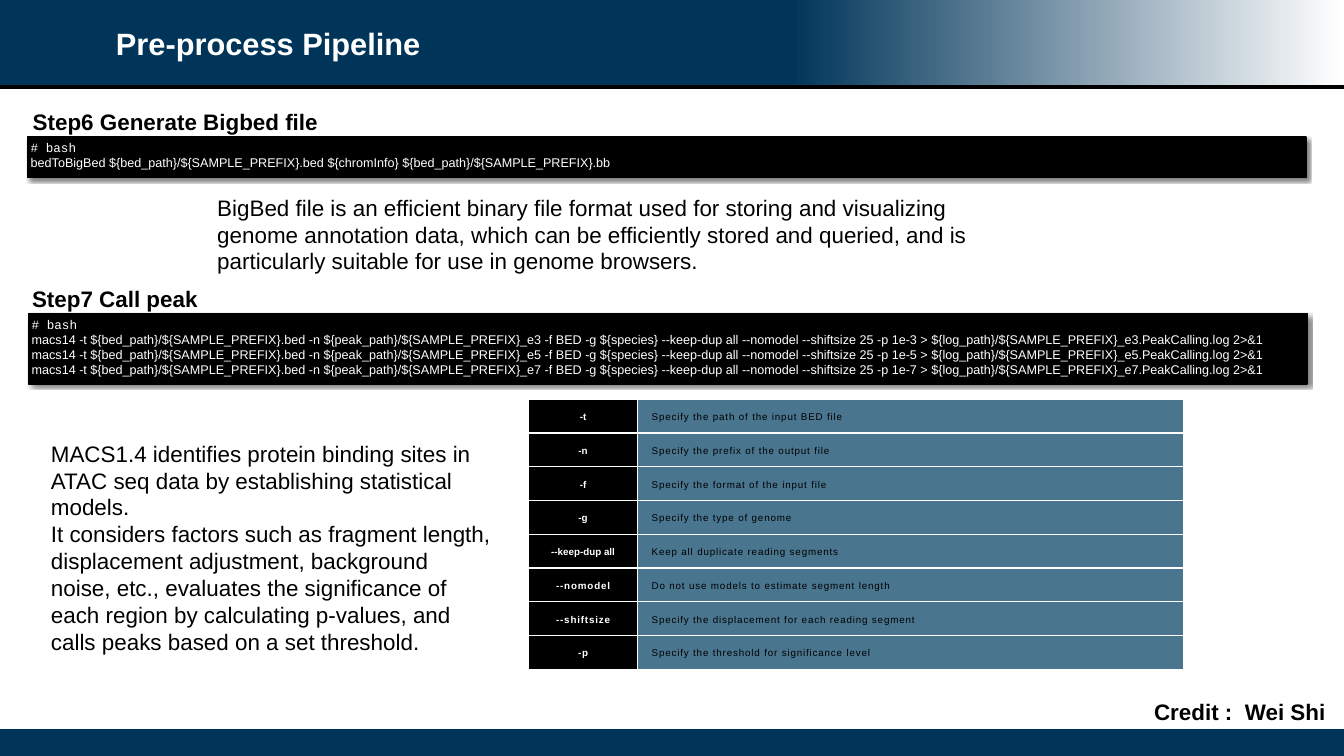
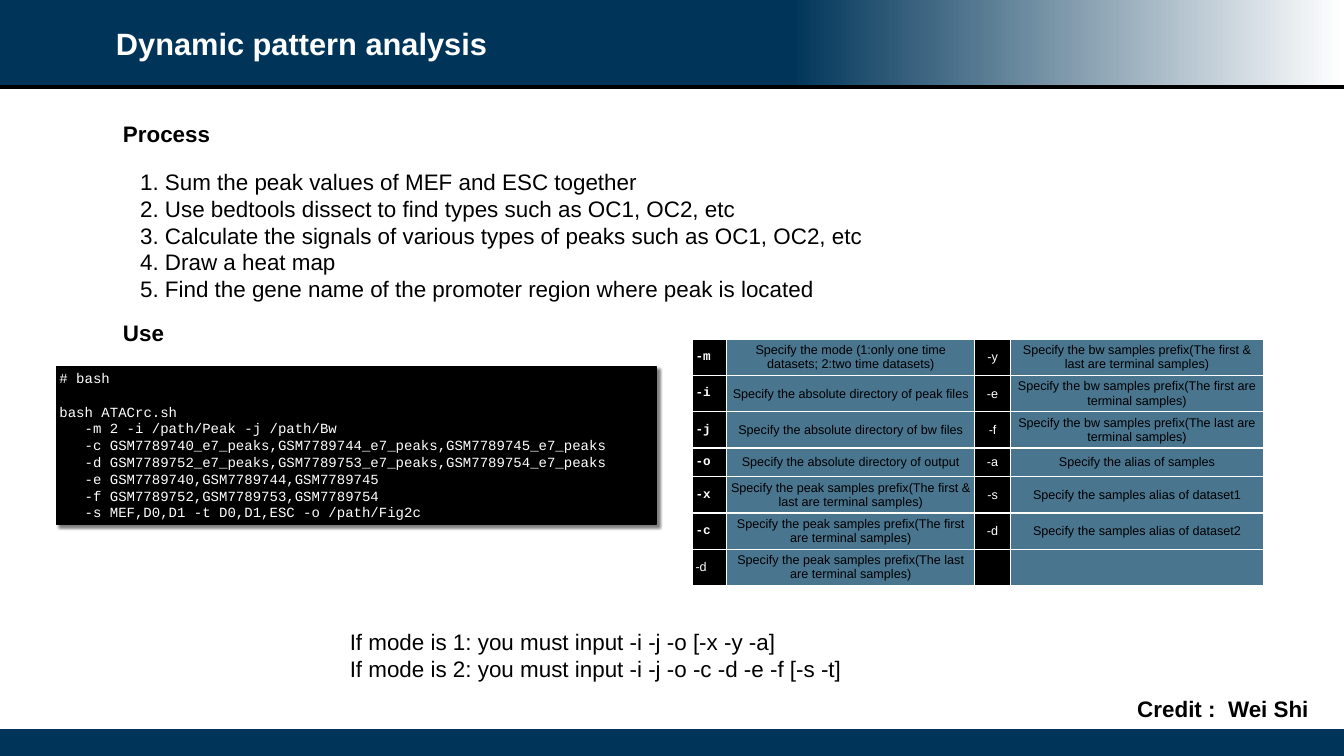
from lxml.etree import SubElement as Sub
from pptx import Presentation
from pptx.dml.color import RGBColor as Rgb
from pptx.enum.shapes import MSO_CONNECTOR as Link, MSO_SHAPE as Form
from pptx.enum.text import MSO_ANCHOR as Anchor, PP_ALIGN as Align
from pptx.oxml.ns import qn
from pptx.util import Inches, Pt

INK = {"navy": "003559", "steel": "49758F", "black": "000000", "white": "FFFFFF"}
SANS, MONO = "Arial", "Courier New"
MID, TOP, HALF = Anchor.MIDDLE, Anchor.TOP, Align.CENTER

deck = Presentation()
deck.slide_width, deck.slide_height = Inches(26.67), Inches(15)
COL, ROW = deck.slide_width / 80, deck.slide_height / 45  # grid of 80 by 45
HUE = {name: Rgb.from_string(code) for name, code in INK.items()}


def box(page, area, fill=None):
    """Add a rectangle, or a text box if no fill is given; area is in grid units."""
    x, y, w, h = area
    spot = int(x * COL), int(y * ROW), int(w * COL), int(h * ROW)
    if not fill:
        return page.shapes.add_textbox(*spot)
    shape = page.shapes.add_shape(Form.RECTANGLE, *spot)
    shape.shadow.inherit = False
    shape.fill.solid()
    shape.fill.fore_color.rgb = HUE[fill]
    shape.line.fill.background()
    return shape


def put(host, *lines, size=32, ink="black", bold=False, font=SANS, rest=None,
        align=Align.LEFT, anchor=MID, pad=(0.08, 0.08), lead=1.0, track=0,
        indent=0, gap=0):
    """Write lines; rest is the font after line one, gap the space before line two."""
    host.margin_left = host.margin_right = Inches(pad[0])
    host.margin_top = host.margin_bottom = Inches(pad[1])
    host.vertical_anchor = anchor
    frame = getattr(host, "text_frame", host)
    frame.word_wrap = True
    for i, line in enumerate(lines):
        para = frame.add_paragraph() if i else frame.paragraphs[0]
        para.alignment, para.line_spacing = align, lead
        if i == 1 and gap:
            para.space_before = Pt(gap)
        if indent and line.startswith("-"):
            para._p.get_or_add_pPr().set("indent", str(Inches(indent)))
        run = para.add_run()
        run.text = line
        run.font.size, run.font.bold = Pt(size), bold
        run.font.name = rest if i and rest else font
        run.font.color.rgb = HUE[ink]
        if track:
            run._r.get_or_add_rPr().set("spc", str(track))


steps = [
    ("-t", "Specify the path of the input BED file"),
    ("-n", "Specify the prefix of the output file"),
    ("-f", "Specify the format of the input file"),
    ("-g", "Specify the type of genome"),
    ("--keep-dup all", "Keep all duplicate reading segments"),
    ("--nomodel", "Do not use models to estimate segment length"),
    ("--shiftsize", "Specify the displacement for each reading segment"),
    ("-p", "Specify the threshold for significance level"),
]
bw, peak = "Specify the bw samples prefix", "Specify the peak samples prefix"
first, last = "(The first are terminal samples)", "(The last are terminal samples)"
both = "(The first & last are terminal samples)"
modes = [
    ("-m", "Specify the mode (1:only one time datasets; 2:two time datasets)",
     "-y", bw + both),
    ("-i", "Specify the absolute directory of peak files", "-e", bw + first),
    ("-j", "Specify the absolute directory of bw files", "-f", bw + last),
    ("-o", "Specify the absolute directory of output",
     "-a", "Specify the alias of samples"),
    ("-x", peak + both, "-s", "Specify the samples alias of dataset1"),
    ("-c", peak + first, "-d", "Specify the samples alias of dataset2"),
    ("-d", peak + last, "", ""),
]
macs = [
    "macs14 -t ${bed_path}/${SAMPLE_PREFIX}.bed "
    f"-n ${{peak_path}}/${{SAMPLE_PREFIX}}_e{n} -f BED -g ${{species}} "
    f"--keep-dup all --nomodel --shiftsize 25 -p 1e-{n} > "
    f"${{log_path}}/${{SAMPLE_PREFIX}}_e{n}.PeakCalling.log 2>&1"
    for n in (3, 5, 7)
]

pages = [
    {
        "title": "Pre-process Pipeline",
        "heads": [((0.96, 6.21, 18.96, 2.07), "Step6 Generate Bigbed file", HALF),
                  ((1.02, 16.71, 11.64, 2.07), "Step7 Call peak", HALF)],
        "codes": [
            ((1.65, 8.16, 76.08, 2.4),
             ["# bash", "bedToBigBed ${bed_path}/${SAMPLE_PREFIX}.bed ${chromInfo} "
              "${bed_path}/${SAMPLE_PREFIX}.bb"], {"size": 18, "rest": SANS}),
            ((1.71, 18.66, 76.08, 4.2), ["# bash", *macs], {"size": 18, "rest": SANS}),
        ],
        "notes": [
            ((12.69, 11.28, 48.69, 5.31),
             ["BigBed file is an efficient binary file format used for storing and "
              "visualizing genome annotation data, which can be efficiently stored and "
              "queried, and is particularly suitable for use in genome browsers."]),
            ((2.79, 25.89, 26.67, 13.38),
             ["MACS1.4 identifies protein binding sites in ATAC seq data by "
              "establishing statistical models.",
              "It considers factors such as fragment length, displacement adjustment, "
              "background noise, etc., evaluates the significance of each region by "
              "calculating p-values, and calls peaks based on a set threshold."]),
        ],
        "grid": (31.47, 23.76, [6.48, 32.52], [2.01] * 8, steps),
        "credit": (67.98, 41.4, 11.64, 2.85),
    },
    {
        "title": "Dynamic pattern analysis",
        "heads": [((7.08, 6.93, 7.11, 2.07), "Process", Align.LEFT),
                  ((7.08, 18.75, 7.11, 2.07), "Use", Align.LEFT)],
        "codes": [
            ((3.36, 21.81, 35.7, 9.42),
             ["# bash", "bash ATACrc.sh", "-m 2 -i /path/Peak -j /path/Bw",
              "-c GSM7789740_e7_peaks,GSM7789744_e7_peaks,GSM7789745_e7_peaks",
              "-d GSM7789752_e7_peaks,GSM7789753_e7_peaks,GSM7789754_e7_peaks",
              "-e GSM7789740,GSM7789744,GSM7789745",
              "-f GSM7789752,GSM7789753,GSM7789754",
              "-s MEF,D0,D1 -t D0,D1,ESC -o /path/Fig2c"],
             {"size": 20, "indent": 0.5, "gap": 24}),
        ],
        "notes": [
            ((8.1, 9.72, 55.11, 8.55),
             ["1. Sum the peak values of MEF and ESC together",
              "2. Use bedtools dissect to find types such as OC1, OC2, etc",
              "3. Calculate the signals of various types of peaks such as OC1, OC2, etc",
              "4. Draw a heat map",
              "5. Find the gene name of the promoter region where peak is located"]),
            ((20.58, 37.17, 33.96, 3.69),
             ["If mode is 1: you must input -i -j -o [-x -y -a]",
              "If mode is 2: you must input -i -j -o -c -d -e -f [-s -t]"]),
        ],
        "grid": (41.22, 20.19, [2.04, 14.76, 2.13, 15.06],
                 [2.13] * 3 + [1.71] + [2.13] * 3, modes),
        "credit": (65.6, 41.25, 14.4, 2.58),
    },
]

for item in pages:
    page = deck.slides.add_slide(deck.slide_layouts[6])

    # Title band, rule and footer
    fade = box(page, (47, 0, 33, 5.16), "white")
    fade.fill.gradient()
    fade.fill.gradient_angle = 180
    for stop, name, place in zip(fade.fill.gradient_stops, ("white", "navy"), (0, 1)):
        stop.color.rgb, stop.position = HUE[name], place
    box(page, (0, 0, 47.4, 5.16), "navy")
    level = int(5.19 * ROW)
    rule = page.shapes.add_connector(Link.STRAIGHT, 0, level, deck.slide_width, level)
    rule.line.color.rgb, rule.line.width = HUE["black"], Pt(5)
    Sub(rule._element.spPr, qn("a:effectLst"))
    box(page, (0, 43.4, 80, 1.6), "navy")
    put(box(page, (6.66, 0, 66.66, 5.16)).text_frame, item["title"],
        size=44, ink="white", bold=True)

    for area, text, align in item["heads"]:
        put(box(page, area).text_frame, text, bold=True, align=align)
    for area, lines in item["notes"]:
        put(box(page, area).text_frame, *lines)

    # Code panels with a soft shadow
    for area, lines, style in item["codes"]:
        panel = box(page, area, "black")
        panel.line.color.rgb, panel.line.width = HUE["black"], Pt(2)
        glow = Sub(panel._element.spPr.find(qn("a:effectLst")), qn("a:outerShdw"),
                   blurRad=str(Pt(4)), dist=str(Pt(5)), dir="2700000",
                   algn="tl", rotWithShape="0")
        Sub(Sub(glow, qn("a:srgbClr"), val=INK["black"]), qn("a:alpha"), val="50000")
        put(panel.text_frame, *lines, ink="white", font=MONO, anchor=TOP,
            pad=(0.06, 0.06), **style)

    # Option table: flags on black, meanings on steel
    x, y, wide, high, cells = item["grid"]
    table = page.shapes.add_table(
        len(high), len(wide), int(x * COL), int(y * ROW),
        int(sum(wide) * COL), int(sum(high) * ROW)).table
    table.first_row = table.horz_banding = False
    for part, size in zip(table.columns, wide):
        part.width = int(size * COL)
    for part, size in zip(table.rows, high):
        part.height = int(size * ROW)
    for r, texts in enumerate(cells):
        for c, text in enumerate(texts):
            cell, flag = table.cell(r, c), c % 2 == 0
            cell.fill.solid()
            cell.fill.fore_color.rgb = HUE["black" if flag else "steel"]
            props = cell._tc.get_or_add_tcPr()
            for i, side in enumerate(("a:lnL", "a:lnR", "a:lnT", "a:lnB")):
                edge = Sub(props, qn(side), w=str(Pt(2)))
                Sub(Sub(edge, qn("a:solidFill")), qn("a:srgbClr"), val=INK["white"])
                props.insert(i, edge)
            if cells is steps:
                style = {"size": 14, "bold": flag, "pad": (0.28, 0.19), "lead": 1.2,
                         "track": 0 if flag and r < 5 else 120,
                         "align": HALF if flag else Align.LEFT}
            else:
                key = c == 0 and r < 6
                style = {"size": 18, "bold": key, "font": MONO if key else SANS,
                         "pad": (0.06, 0.06), "align": HALF if c else Align.LEFT}
            if text:
                put(cell, text, ink="white" if flag else "black", **style)

    put(box(page, item["credit"]).text_frame, "Credit :  Wei Shi", bold=True,
        align=HALF, anchor=TOP, pad=(0.1, 0.05))

deck.save("out.pptx")
